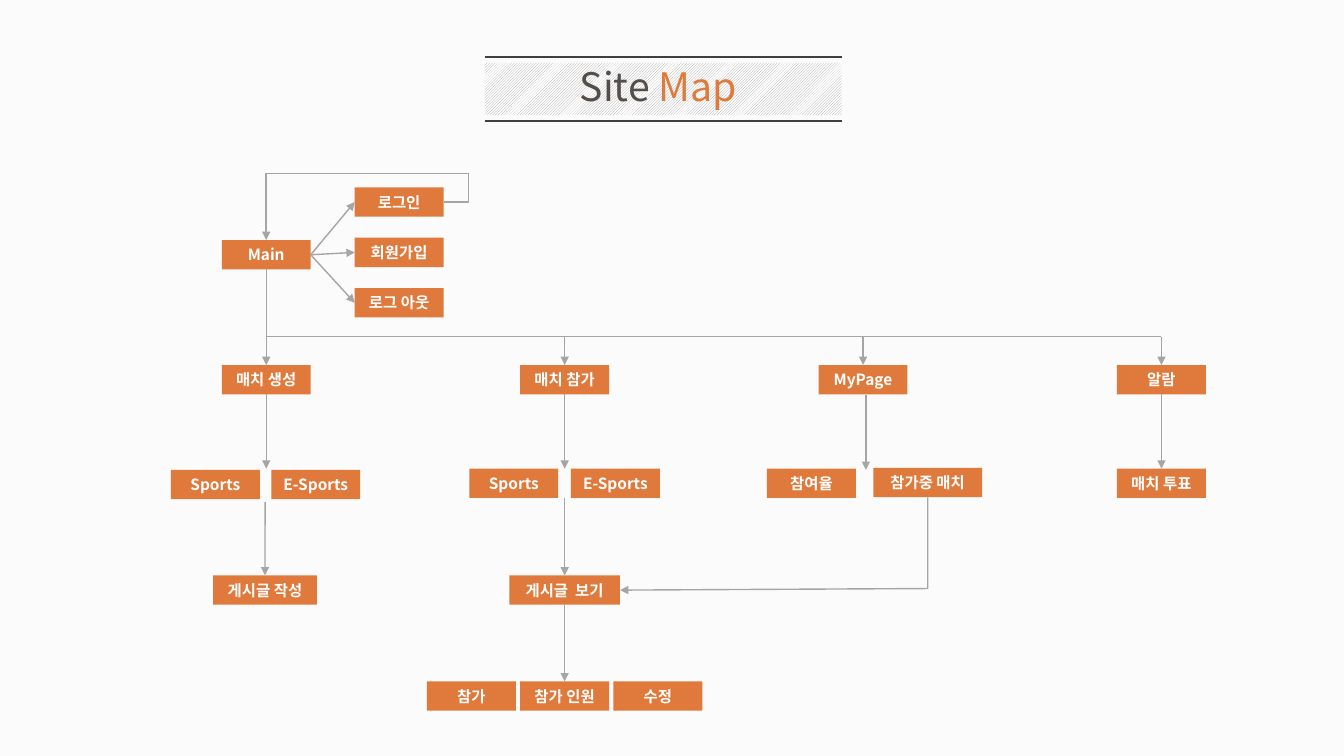
from lxml import etree
from pptx import Presentation
from pptx.dml.color import RGBColor
from pptx.enum.dml import MSO_PATTERN
from pptx.enum.shapes import MSO_CONNECTOR, MSO_SHAPE
from pptx.enum.text import MSO_ANCHOR, PP_ALIGN
from pptx.oxml.ns import qn
from pptx.util import Cm, Pt

ORANGE = RGBColor(0xE0, 0x7A, 0x3C)
WHITE = RGBColor(0xFF, 0xFF, 0xFF)
PAPER = RGBColor(0xFB, 0xFB, 0xFB)
GRAY = RGBColor(0xA5, 0xA5, 0xA5)
HATCH = RGBColor(0xA6, 0xA6, 0xA6)
DARK = RGBColor(0x40, 0x40, 0x40)
BROWN = RGBColor(0x53, 0x4E, 0x4A)
FONT = "Noto Sans CJK KR"
BOX_FONT = {"name": FONT, "size": Pt(11), "bold": True}
TITLE_FONT = {"name": FONT, "size": Pt(28), "bold": False}
TOP, LEFT, BOTTOM, RIGHT = range(4)


def add_run(paragraph, text, color, font_format):
    run = paragraph.add_run()
    run.text = text
    for name, value in font_format.items():
        setattr(run.font, name, value)
    run.font.color.rgb = color
    properties = run._r.get_or_add_rPr()
    etree.SubElement(properties, qn("a:ea"), typeface=FONT)


def add_line(shapes, kind, start, end, color, arrow):
    points = [Cm(value) for value in (*start, *end)]
    connector = shapes.add_connector(kind, *points)
    connector.line.color.rgb = color
    connector.line.width = Pt(1)
    if arrow:
        etree.SubElement(connector.line._get_or_add_ln(), qn("a:tailEnd"), type="triangle")
    etree.SubElement(connector._element.spPr, qn("a:effectLst"))
    return connector


presentation = Presentation()
presentation.slide_width = Cm(33.87)
presentation.slide_height = Cm(19.05)
slide = presentation.slides.add_slide(presentation.slide_layouts[6])
slide.background.fill.solid()
slide.background.fill.fore_color.rgb = PAPER

box_width, box_height = 2.24, 0.74
create_x, join_x, mypage_x, alarm_x = [6.71 + 7.52 * column for column in range(4)]
account_x, account_top, account_step = 10.06, 4.72, 1.27
menu_top, detail_top, post_top, action_top = 9.2, 11.81, 14.5, 17.17
pair_offset, action_step = 1.28, 2.35
bus_y = 8.48

boxes = {
    "main": ("Main", create_x, 6.05, box_width),
    "login": ("로그인", account_x, account_top, box_width),
    "signup": ("회원가입", account_x, account_top + account_step, box_width),
    "logout": ("로그 아웃", account_x, account_top + 2 * account_step, box_width),
    "create": ("매치 생성", create_x, menu_top, box_width),
    "join": ("매치 참가", join_x, menu_top, box_width),
    "mypage": ("MyPage", mypage_x, menu_top, box_width),
    "alarm": ("알람", alarm_x, menu_top, box_width),
    "create sports": ("Sports", create_x - pair_offset, 11.84, box_width),
    "create e-sports": ("E-Sports", create_x + pair_offset - 0.03, 11.84, box_width),
    "join sports": ("Sports", join_x - pair_offset, detail_top, box_width),
    "join e-sports": ("E-Sports", join_x + pair_offset, detail_top, box_width),
    "rate": ("참여율", mypage_x - 1.3, detail_top, box_width),
    "joined": ("참가중 매치", 23.38, 11.79, 2.74),
    "vote": ("매치 투표", alarm_x, detail_top, box_width),
    "write": ("게시글 작성", 6.68, post_top, 2.62),
    "view": ("게시글  보기", join_x, post_top, 2.79),
    "enter": ("참가", join_x - action_step, action_top, box_width),
    "people": ("참가 인원", join_x, action_top, box_width),
    "edit": ("수정", join_x + action_step, action_top, box_width),
}
box_shapes = {}
for name, (text, center, top, width) in boxes.items():
    shape = slide.shapes.add_shape(
        MSO_SHAPE.RECTANGLE, Cm(center - width / 2), Cm(top), Cm(width), Cm(box_height)
    )
    shape.shadow.inherit = False
    shape.fill.solid()
    shape.fill.fore_color.rgb = ORANGE
    shape.line.fill.background()
    shape.text_frame.word_wrap = False
    shape.text_frame.vertical_anchor = MSO_ANCHOR.MIDDLE
    paragraph = shape.text_frame.paragraphs[0]
    paragraph.alignment = PP_ALIGN.CENTER
    add_run(paragraph, text, WHITE, BOX_FONT)
    box_shapes[name] = shape

corner = (23.38, 14.83)
links = [
    (("main", RIGHT), ("login", LEFT), True),
    (("main", RIGHT), ("signup", LEFT), True),
    (("main", RIGHT), ("logout", LEFT), True),
    (("main", BOTTOM), ("create", TOP), True),
    ((create_x, bus_y), (alarm_x, bus_y), False),
    ((join_x, bus_y), ("join", TOP), True),
    ((mypage_x, bus_y), ("mypage", TOP), True),
    ((alarm_x, bus_y), ("alarm", TOP), True),
    (("create", BOTTOM), (create_x, detail_top), True),
    (("join", BOTTOM), (join_x, detail_top), True),
    ((21.82, 9.95), (21.82, 11.84), True),
    (("alarm", BOTTOM), ("vote", TOP), True),
    ((6.68, 12.65), ("write", TOP), True),
    ((join_x, 12.55), ("view", TOP), True),
    (("joined", BOTTOM), corner, False),
    (corner, ("view", RIGHT), True),
    (("view", BOTTOM), ("people", TOP), True),
    (("login", RIGHT), ("main", TOP), True),
]
for start, end, arrow in links:
    loops_back = start[0] == "login"
    kind = MSO_CONNECTOR.ELBOW if loops_back else MSO_CONNECTOR.STRAIGHT
    start_point = (0, 0) if start[0] in boxes else start
    end_point = (0, 0) if end[0] in boxes else end
    connector = add_line(slide.shapes, kind, start_point, end_point, GRAY, arrow)
    if start[0] in boxes:
        connector.begin_connect(box_shapes[start[0]], start[1])
    if end[0] in boxes:
        connector.end_connect(box_shapes[end[0]], end[1])
    if loops_back:
        geometry = connector._element.spPr.find(qn("a:prstGeom"))
        geometry.set("prst", "bentConnector4")
        guides = geometry.find(qn("a:avLst"))
        for name, value in (("adj1", -14200), ("adj2", -74000)):
            etree.SubElement(guides, qn("a:gd"), name=name, fmla=f"val {value}")

banner = slide.shapes.add_group_shape()
band = banner.shapes.add_shape(MSO_SHAPE.RECTANGLE, Cm(12.22), Cm(1.58), Cm(8.99), Cm(1.32))
band.shadow.inherit = False
band.fill.patterned()
band.fill.pattern = MSO_PATTERN.LIGHT_UPWARD_DIAGONAL
band.fill.fore_color.rgb = HATCH
band.fill.back_color.rgb = WHITE
band.line.fill.background()
for rule_y in (1.44, 3.05):
    add_line(banner.shapes, MSO_CONNECTOR.STRAIGHT, (12.22, rule_y), (21.21, rule_y), DARK, False)

title = slide.shapes.add_textbox(Cm(12.12), Cm(1.45), Cm(8.94), Cm(1.45))
title.text_frame.word_wrap = True
paragraph = title.text_frame.paragraphs[0]
paragraph.alignment = PP_ALIGN.CENTER
add_run(paragraph, "Site ", BROWN, TITLE_FONT)
add_run(paragraph, "Map", ORANGE, TITLE_FONT)

presentation.save("out.pptx")
